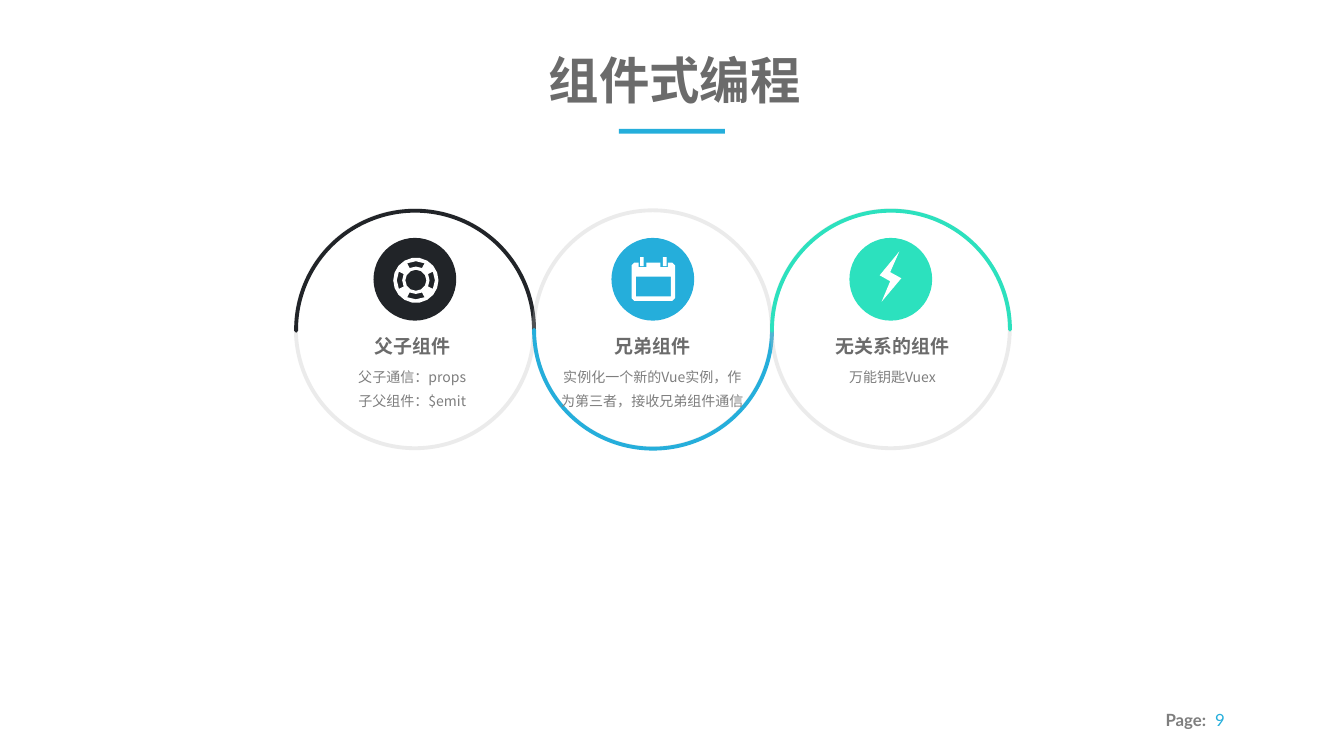
import math

import pptx
import pptx.dml.color
import pptx.enum.shapes
import pptx.enum.text
import pptx.oxml
import pptx.oxml.ns
import pptx.util
from lxml import etree

Cm = pptx.util.Cm
Pt = pptx.util.Pt
SHAPES = pptx.enum.shapes.MSO_SHAPE
ALIGN = pptx.enum.text.PP_ALIGN
ANCHOR = pptx.enum.text.MSO_ANCHOR

CHINESE, LATIN = "Noto Sans CJK SC", "Lato"
BLUE, DARK, GREEN = "25AEDB", "212428", "2CE1BE"
HEADING, BODY, RING, WHITE = "6B6B6B", "7E7E7E", "BFBFBF", "FFFFFF"

TITLE = "组件式编程"
PAGE_LABEL, PAGE_NUMBER = "Page:", "9"


def arc_points(radius, start, end, step):
    return [(0.05 + radius * math.cos(math.radians(angle)),
             0.05 + radius * math.sin(math.radians(angle)))
            for angle in range(start, end + 1, step)]


def box(left, top, right, bottom):
    return [(left, top), (right, top), (right, bottom), (left, bottom)]


LIFEBUOY = [arc_points(1.14, 0, 340, 20), arc_points(0.53, 0, 330, 30)] + [
    arc_points(0.96, middle - 27, middle + 27, 27)
    + arc_points(0.69, middle - 27, middle + 27, 27)[::-1]
    for middle in (0, 90, 180, 270)
]
CALENDAR = [
    [(-1.07, -0.7), (-0.93, -0.84),
     (-0.71, -0.84), (-0.71, -0.61), (-0.33, -0.61), (-0.33, -0.84),
     (0.38, -0.84), (0.38, -0.61), (0.76, -0.61), (0.76, -0.84),
     (0.98, -0.84), (1.12, -0.7),
     (1.12, 0.95), (0.98, 1.09), (-0.93, 1.09), (-1.07, 0.95)],
    box(-0.86, -0.13, 0.91, 0.86),
    box(-0.64, -1.12, -0.46, -0.66),
    box(0.51, -1.12, 0.69, -0.66),
]
BOLT = [[(-0.46, 1.13), (-0.03, 0.1), (-0.56, -0.2),
         (0.43, -1.4), (-0.03, -0.36), (0.53, -0.05)]]

TOPICS = [
    {"heading": "父子组件", "lines": ["父子通信：props", "子父组件：$emit"],
     "color": DARK, "rotation": 0, "icon": LIFEBUOY, "text_height": 3.91},
    {"heading": "兄弟组件", "lines": ["实例化一个新的Vue实例，作为第三者，接收兄弟组件通信"],
     "color": BLUE, "rotation": 180, "icon": CALENDAR, "text_height": 3.91},
    {"heading": "无关系的组件", "lines": ["万能钥匙Vuex"],
     "color": GREEN, "rotation": 0, "icon": BOLT, "text_height": 2.67},
]

RING_LEFT, RING_TOP, RING_SIZE = 14.91, 10.6, 11.99
DISK_TOP, DISK_SIZE = 11.99, 4.17
TEXT_LEFT, TEXT_TOP, TEXT_WIDTH, TEXT_STEP = 15.97, 16.79, 9.6, 12.1


def rgb(color):
    return pptx.dml.color.RGBColor.from_string(color)


def paint(shape, color):
    shape.shadow.inherit = False
    shape.fill.solid()
    shape.fill.fore_color.rgb = rgb(color)
    shape.line.fill.background()


def outline(shape, color, opacity=100):
    shape.shadow.inherit = False
    shape.fill.background()
    shape.line.width = Pt(5.5)
    shape.line.color.rgb = rgb(color)
    line = shape.line._get_or_add_ln()
    line.set("cap", "rnd")
    if opacity < 100:
        color_element = line.find(".//" + pptx.oxml.ns.qn("a:srgbClr"))
        alpha = etree.SubElement(color_element, pptx.oxml.ns.qn("a:alpha"))
        alpha.set("val", str(opacity * 1000))


def add_preset(slide, kind, left, top, width, height):
    return slide.shapes.add_shape(kind, Cm(left), Cm(top), Cm(width), Cm(height))


def prepare_frame(shape, wrap=False, anchor=ANCHOR.MIDDLE, insets=(0, 0, 0, 0)):
    frame = shape.text_frame
    frame.word_wrap = wrap
    frame.vertical_anchor = anchor
    frame.auto_size = pptx.enum.text.MSO_AUTO_SIZE.NONE
    left, top, right, bottom = insets
    frame.margin_left, frame.margin_right = Cm(left), Cm(right)
    frame.margin_top, frame.margin_bottom = Cm(top), Cm(bottom)
    return frame


def write(paragraph, text, size, color, font, bold=False, align=ALIGN.CENTER):
    paragraph.alignment = align
    run = paragraph.add_run()
    run.text = text
    run.font.size = Pt(size)
    run.font.bold = bold
    run.font.name = font
    run.font.color.rgb = rgb(color)
    east_asian = etree.SubElement(run.font._element, pptx.oxml.ns.qn("a:ea"))
    east_asian.set("typeface", font)


def add_title(slide):
    title = slide.shapes.title
    title.left, title.top = Cm(27.58), Cm(2.44)
    title.width, title.height = Cm(12.83), Cm(3.07)
    frame = prepare_frame(title)
    write(frame.paragraphs[0], TITLE, 72, HEADING, CHINESE, bold=True)
    paint(add_preset(slide, SHAPES.RECTANGLE, 31.19, 6.5, 5.33, 0.23), BLUE)


def add_ring(slide, index, topic):
    left = RING_LEFT + index * RING_SIZE
    ring = add_preset(slide, SHAPES.OVAL, left, RING_TOP, RING_SIZE, RING_SIZE)
    outline(ring, RING, opacity=30)
    arc = add_preset(slide, SHAPES.ARC, left + 0.01, RING_TOP + 0.02, RING_SIZE, RING_SIZE)
    arc.adjustments[0] = 107.66
    arc.adjustments[1] = 0
    arc.rotation = topic["rotation"]
    outline(arc, topic["color"])


def disk_left(index):
    return RING_LEFT + index * RING_SIZE + (RING_SIZE - DISK_SIZE) / 2


def add_disk(slide, index, topic):
    disk = add_preset(slide, SHAPES.OVAL, disk_left(index), DISK_TOP, DISK_SIZE, DISK_SIZE)
    paint(disk, topic["color"])


def add_text(slide, index, topic):
    textbox = slide.shapes.add_textbox(
        Cm(TEXT_LEFT + index * TEXT_STEP), Cm(TEXT_TOP),
        Cm(TEXT_WIDTH), Cm(topic["text_height"]))
    frame = prepare_frame(textbox, wrap=True, anchor=ANCHOR.TOP)
    heading = frame.paragraphs[0]
    heading.space_after = Pt(5.3)
    write(heading, topic["heading"], 27, HEADING, CHINESE, bold=True)
    for line in topic["lines"]:
        write(frame.add_paragraph(), line, 20, BODY, CHINESE)
    for paragraph in frame.paragraphs:
        paragraph.line_spacing = Pt(34.7)


def add_icon(slide, index, topic):
    center_x = disk_left(index) + DISK_SIZE / 2
    center_y = DISK_TOP + DISK_SIZE / 2
    contours = [[(Cm(center_x + x), Cm(center_y + y)) for x, y in contour]
                for contour in topic["icon"]]
    builder = slide.shapes.build_freeform(*contours[0][0], scale=1.0)
    builder.add_line_segments(contours[0][1:])
    for points in contours[1:]:
        builder.move_to(*points[0])
        builder.add_line_segments(points[1:])
    paint(builder.convert_to_shape(), WHITE)


def add_page_number(slide):
    number = slide.shapes.add_textbox(Cm(60.68), Cm(35.51), Cm(2.06), Cm(1.55))
    frame = prepare_frame(number, anchor=ANCHOR.TOP, insets=(0.51, 0.25, 0.99, 0.25))
    write(frame.paragraphs[0], PAGE_NUMBER, 24, BLUE, LATIN)
    label = slide.shapes.add_textbox(Cm(58.7), Cm(35.76), Cm(2.08), Cm(1.02))
    write(prepare_frame(label).paragraphs[0], PAGE_LABEL, 24, BODY, LATIN,
          bold=True, align=ALIGN.RIGHT)


def main():
    presentation = pptx.Presentation()
    presentation.slide_width = Cm(67.72)
    presentation.slide_height = Cm(38.1)
    slide = presentation.slides.add_slide(presentation.slide_layouts[5])
    add_page_number(slide)
    add_title(slide)
    for add_part in (add_ring, add_disk, add_text, add_icon):
        for index, topic in enumerate(TOPICS):
            add_part(slide, index, topic)
    presentation.save("out.pptx")


if __name__ == "__main__":
    main()
